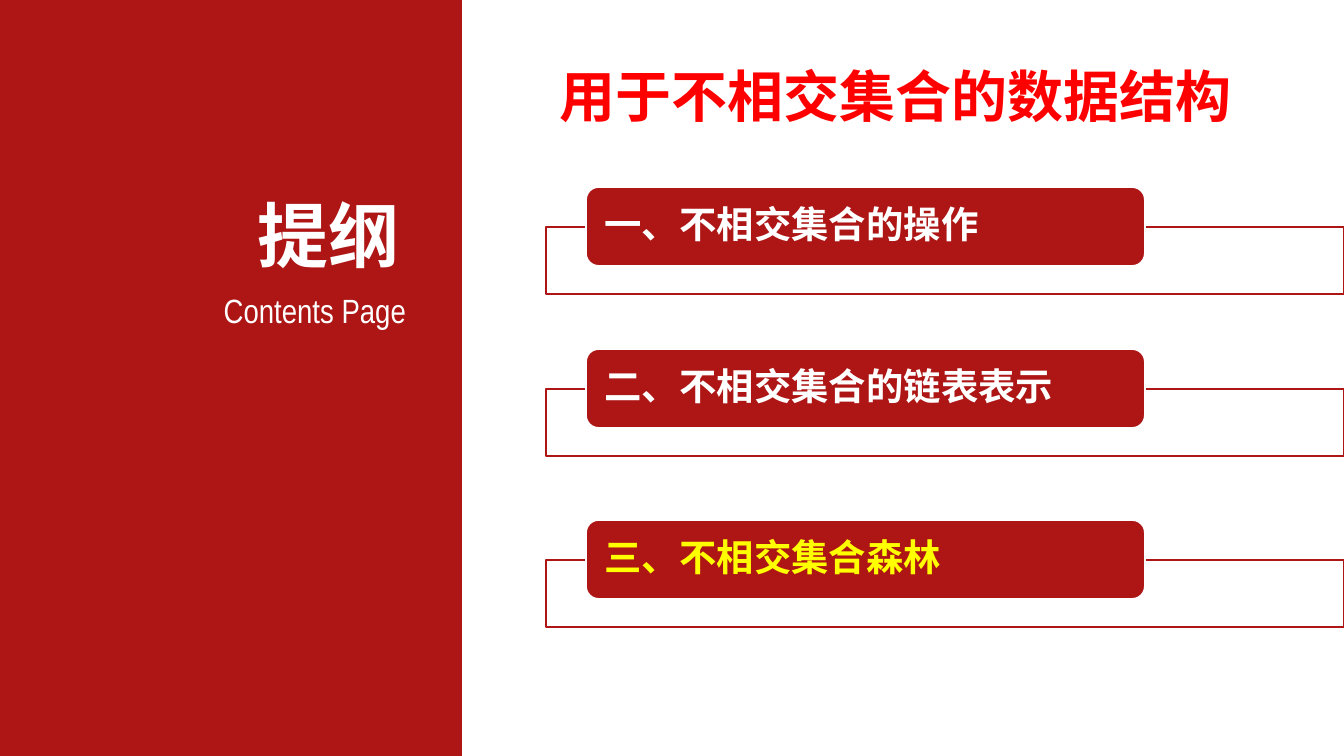
from lxml import etree
from pptx import Presentation
from pptx.dml.color import RGBColor
from pptx.enum.shapes import MSO_SHAPE
from pptx.enum.text import MSO_ANCHOR, MSO_AUTO_SIZE, PP_ALIGN
from pptx.oxml.ns import qn
from pptx.util import Pt

RECTANGLE, ROUNDED = MSO_SHAPE.RECTANGLE, MSO_SHAPE.ROUNDED_RECTANGLE
LEFT, CENTER, RIGHT = PP_ALIGN.LEFT, PP_ALIGN.CENTER, PP_ALIGN.RIGHT
TOP, MIDDLE = MSO_ANCHOR.TOP, MSO_ANCHOR.MIDDLE
NO_AUTOFIT = MSO_AUTO_SIZE.NONE

CRIMSON = RGBColor(0xAE, 0x16, 0x16)
RED = RGBColor(0xFF, 0x00, 0x00)
YELLOW = RGBColor(0xFF, 0xFF, 0x00)
WHITE = RGBColor(0xFF, 0xFF, 0xFF)

TITLE = "用于不相交集合的数据结构"
SIDE_LABELS = [
    ("Contents Page", (46, 285, 370, 51), 18, "Arial Narrow", False),
    ("提纲", (148, 187, 262, 97), 38, "Arial", True),
]
SECTIONS = [
    ("一、不相交集合的操作", 227, "Roboto", WHITE),
    ("二、不相交集合的链表表示", 389, "Noto Sans CJK SC", WHITE),
    ("三、不相交集合森林", 560, "Roboto", YELLOW),
]

PAGE_WIDTH, PAGE_HEIGHT = 1344, 756
SIDE_WIDTH = 462
FRAME_LEFT, FRAME_HEIGHT = 546, 67
PILL_LEFT, PILL_WIDTH, PILL_HEIGHT, PILL_RISE = 586, 559, 79, 40


def px(length):
    return round(length * 914400 / 134.4)


def add_box(page, kind, place, fill, line=None):
    box = page.shapes.add_shape(kind, *map(px, place))
    box.shadow.inherit = False
    box.fill.solid()
    box.fill.fore_color.rgb = fill
    if line is None:
        box.line.fill.background()
    else:
        box.line.color.rgb = line
        box.line.width = Pt(1)
    return box


def write(box, text, size, font, color, align, anchor, insets, bold=True, spacing=1.0):
    frame = box.text_frame
    frame.word_wrap = True
    frame.auto_size = NO_AUTOFIT
    frame.vertical_anchor = anchor
    frame.margin_left = frame.margin_right = px(insets[0])
    frame.margin_top = frame.margin_bottom = px(insets[1])
    para = frame.paragraphs[0]
    para.text = text
    para.alignment = align
    para.line_spacing = spacing
    para.font.size = Pt(size)
    para.font.name = font
    para.font.bold = bold
    para.font.color.rgb = color


def set_opacity(box, percent):
    color = box.fill._xPr.find(qn("a:solidFill"))[0]
    etree.SubElement(color, qn("a:alpha")).set("val", str(percent * 1000))


deck = Presentation()
deck.slide_width, deck.slide_height = px(PAGE_WIDTH), px(PAGE_HEIGHT)
page = deck.slides.add_slide(deck.slide_layouts[5])

add_box(page, RECTANGLE, (0, 0, SIDE_WIDTH, PAGE_HEIGHT), CRIMSON)
for text, place, size, font, bold in SIDE_LABELS:
    label = page.shapes.add_textbox(*map(px, place))
    write(label, text, size, font, WHITE, RIGHT, TOP, (10, 5), bold)

title = page.shapes.title
title.left, title.top, title.width, title.height = map(px, (SIDE_WIDTH, -3, 867, 163))
write(title, TITLE, 30, "Arial", RED, CENTER, MIDDLE, (13, 7), spacing=1.5)

for text, top, font, color in SECTIONS:
    frame_place = (FRAME_LEFT, top, PAGE_WIDTH - FRAME_LEFT, FRAME_HEIGHT)
    section_frame = add_box(page, RECTANGLE, frame_place, WHITE, CRIMSON)
    set_opacity(section_frame, 90)
    pill_place = (PILL_LEFT, top - PILL_RISE, PILL_WIDTH, PILL_HEIGHT)
    pill = add_box(page, ROUNDED, pill_place, CRIMSON, WHITE)
    pill.adjustments[0] = 0.16
    write(pill, text, 20, font, color, LEFT, MIDDLE, (15, 3), spacing=0.9)

deck.save("out.pptx")
